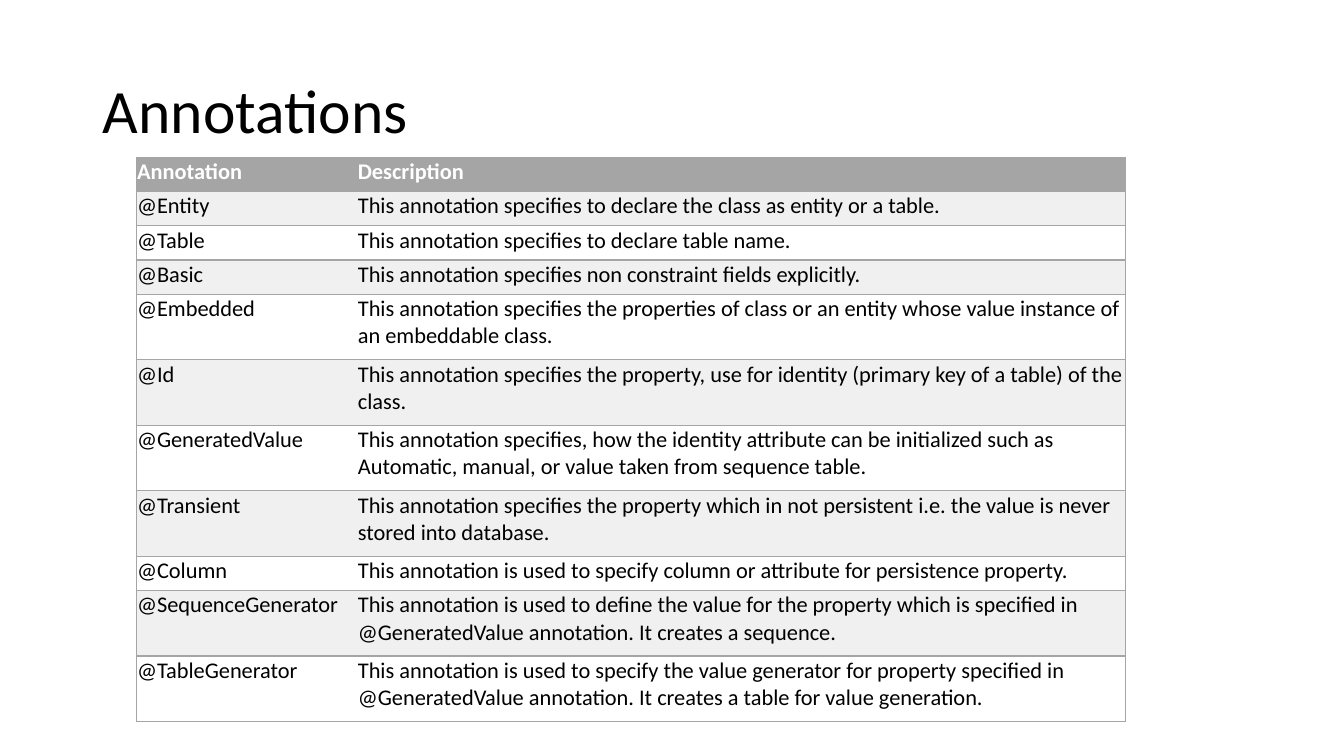
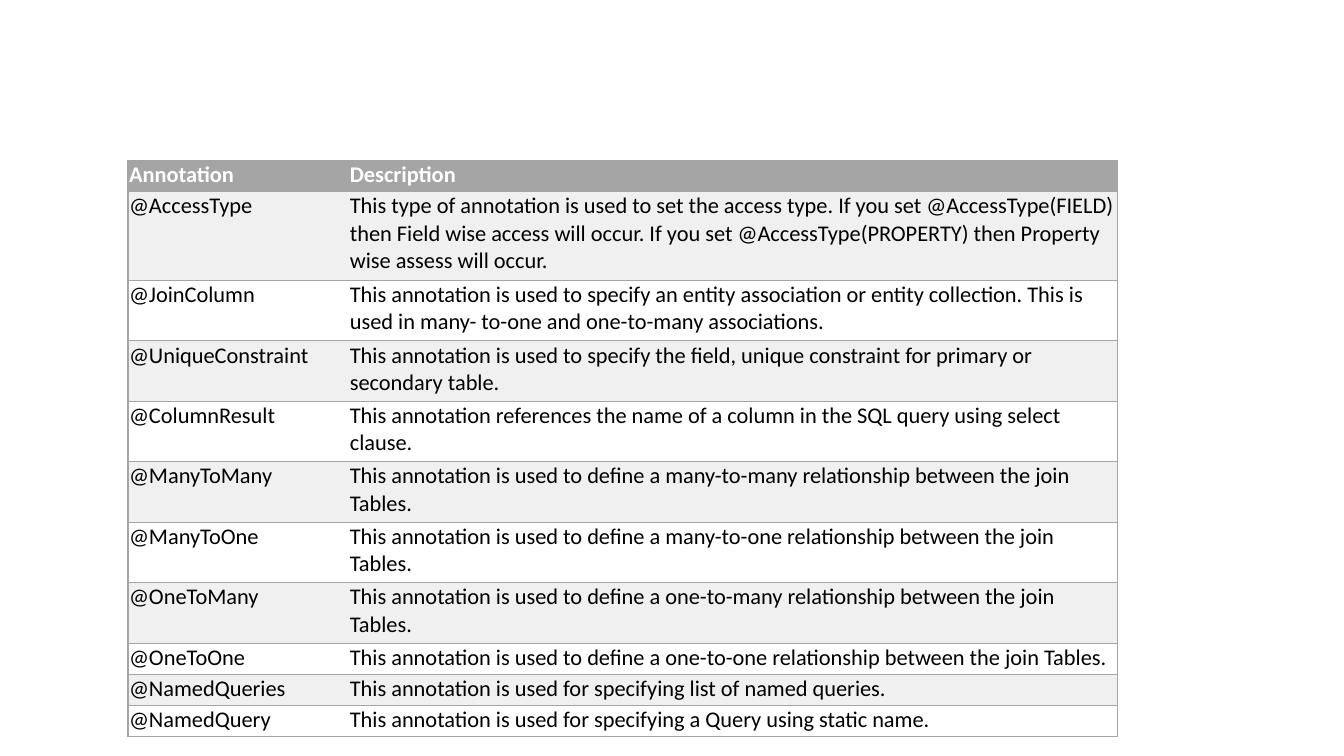
"""Build two slides that list persistence annotations in tables."""
from dataclasses import dataclass

from lxml.etree import SubElement
from pptx import Presentation
from pptx.dml.color import RGBColor
from pptx.enum.text import MSO_ANCHOR, PP_ALIGN
from pptx.oxml.ns import qn
from pptx.util import Inches, Pt

HEADINGS = (1, "Annotation", "Description")

# Each row: number of text lines, annotation, description.
SLIDES = [
    {
        "title": "Annotations",
        "corner": (1.35, 1.56),
        "heights": {1: 0.34, 2: 0.65},
        "rows": [
            (1, "@Entity", "This annotation specifies to declare the class as entity or a table."),
            (1, "@Table", "This annotation specifies to declare table name."),
            (1, "@Basic", "This annotation specifies non constraint fields explicitly."),
            (2, "@Embedded", "This annotation specifies the properties of class or an entity "
                "whose value instance of an embeddable class."),
            (2, "@Id", "This annotation specifies the property, use for identity "
                "(primary key of a table) of the class."),
            (2, "@GeneratedValue", "This annotation specifies, how the identity attribute can be "
                "initialized such as Automatic, manual, or value taken from sequence table."),
            (2, "@Transient", "This annotation specifies the property which in not persistent "
                "i.e. the value is never stored into database."),
            (1, "@Column", "This annotation is used to specify column or attribute for "
                "persistence property."),
            (2, "@SequenceGenerator", "This annotation is used to define the value for the property "
                "which is specified in @GeneratedValue annotation. It creates a sequence."),
            (2, "@TableGenerator", "This annotation is used to specify the value generator for "
                "property specified in @GeneratedValue annotation. "
                "It creates a table for value generation."),
        ],
    },
    {
        "title": None,
        "corner": (1.27, 1.59),
        "heights": {1: 0.31, 2: 0.6, 3: 0.88},
        "rows": [
            (3, "@AccessType", "This type of annotation is used to set the access type. "
                "If you set @AccessType(FIELD) then Field wise access will occur. "
                "If you set @AccessType(PROPERTY) then Property wise assess will occur."),
            (2, "@JoinColumn", "This annotation is used to specify an entity association or entity "
                "collection. This is used in many- to-one and one-to-many associations."),
            (2, "@UniqueConstraint", "This annotation is used to specify the field, "
                "unique constraint for primary or secondary table."),
            (2, "@ColumnResult", "This annotation references the name of a column in the SQL query "
                "using select clause."),
            (2, "@ManyToMany", "This annotation is used to define a many-to-many relationship "
                "between the join Tables."),
            (2, "@ManyToOne", "This annotation is used to define a many-to-one relationship "
                "between the join Tables."),
            (2, "@OneToMany", "This annotation is used to define a one-to-many relationship "
                "between the join Tables."),
            (1, "@OneToOne", "This annotation is used to define a one-to-one relationship "
                "between the join Tables."),
            (1, "@NamedQueries", "This annotation is used for specifying list of named queries."),
            (1, "@NamedQuery", "This annotation is used for specifying a Query using static name."),
        ],
    },
]


@dataclass(frozen=True)
class Theme:
    font: str = "Calibri"
    text: str = "000000"
    header_text: str = "FFFFFF"
    header: str = "A5A5A5"
    border: str = "A5A5A5"
    bands: tuple = ("FFFFFF", "F0F0F0")
    title_size: int = 44
    cell_size: int = 16
    border_width: int = 1
    inset: float = 0.01
    columns: tuple = (2.19, 7.62)
    title_box: tuple = (0.92, 0.4, 11.5, 1.45)
    plain_table: str = "{2D5ABB26-0587-4C30-8999-92F81FD0307C}"


THEME = Theme()
TITLE_ONLY, BLANK = 5, 6


def apply(target, values):
    for name, value in values.items():
        setattr(target, name, value)


def write(frame, text, size, color, bold=False):
    frame.text = text
    paragraph = frame.paragraphs[0]
    paragraph.alignment = PP_ALIGN.LEFT
    apply(paragraph.font, {"name": THEME.font, "size": Pt(size), "bold": bold})
    paragraph.font.color.rgb = RGBColor.from_string(color)
    return paragraph


def draw_borders(cell, outer_side):
    properties = cell._tc.get_or_add_tcPr()
    for side in "LRTB":
        line = SubElement(properties, qn(f"a:ln{side}"), w=str(Pt(THEME.border_width)))
        if side in (outer_side, "T", "B"):
            fill = SubElement(line, qn("a:solidFill"))
            SubElement(fill, qn("a:srgbClr"), val=THEME.border)
        else:
            SubElement(line, qn("a:noFill"))


def add_title(slide, text):
    title = slide.shapes.title
    apply(title, dict(zip(("left", "top", "width", "height"), map(Inches, THEME.title_box))))
    title.text_frame.vertical_anchor = MSO_ANCHOR.MIDDLE
    write(title.text_frame, text, THEME.title_size, THEME.text).line_spacing = 0.9


def add_annotations(slide, corner, heights, rows):
    rows = [HEADINGS, *rows]
    row_heights = [heights[lines] for lines, *_ in rows]
    size = (sum(THEME.columns), sum(row_heights))
    table = slide.shapes.add_table(
        len(rows), len(THEME.columns), *map(Inches, corner + size)).table
    table._tbl.tblPr.find(qn("a:tableStyleId")).text = THEME.plain_table
    for column, width in zip(table.columns, THEME.columns):
        column.width = Inches(width)
    margins = dict.fromkeys(
        ("margin_left", "margin_right", "margin_top", "margin_bottom"), Inches(THEME.inset))
    for index, (_, *texts) in enumerate(rows):
        table.rows[index].height = Inches(row_heights[index])
        heading = index == 0
        background = THEME.header if heading else THEME.bands[index % 2]
        color = THEME.header_text if heading else THEME.text
        for cell, text, outer_side in zip(table.rows[index].cells, texts, "LR"):
            apply(cell, margins)
            draw_borders(cell, outer_side)
            cell.fill.solid()
            cell.fill.fore_color.rgb = RGBColor.from_string(background)
            write(cell.text_frame, text, THEME.cell_size, color, heading)


def main():
    deck = Presentation()
    apply(deck, {"slide_width": Inches(13.33), "slide_height": Inches(7.5)})
    for content in SLIDES:
        layout = TITLE_ONLY if content["title"] else BLANK
        slide = deck.slides.add_slide(deck.slide_layouts[layout])
        if content["title"]:
            add_title(slide, content["title"])
        add_annotations(slide, content["corner"], content["heights"], content["rows"])
    deck.save("out.pptx")


if __name__ == "__main__":
    main()
